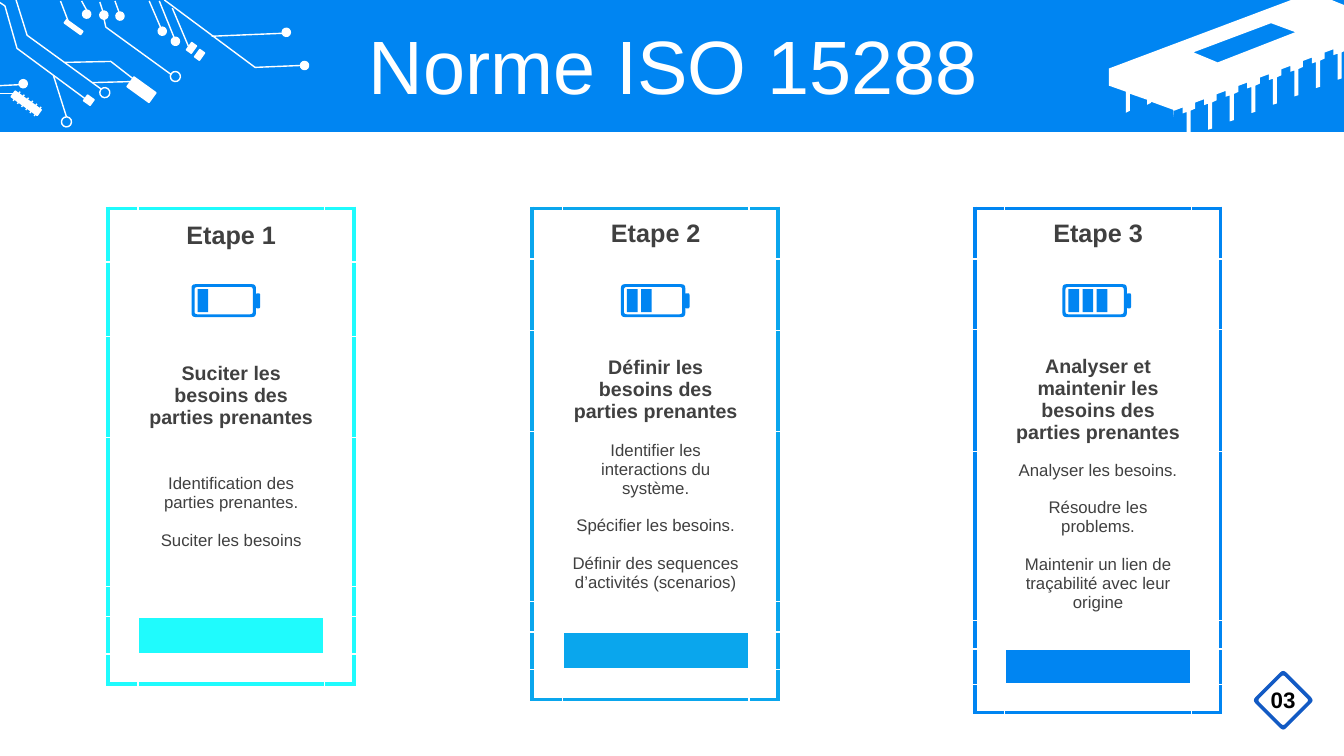
from lxml import etree
from pptx import Presentation
from pptx.dml.color import RGBColor
from pptx.enum import shapes as kinds, text as txt
from pptx.oxml.ns import qn
from pptx.util import Pt

BLUE, WHITE, GREY = "0085F2", "FFFFFF", "404040"
TILT = 35.7

CHIPS = [(91.4, 59.8, 19.4, 8.6), (45.4, 18, 14.4, 2.9), (60.5, 69.1, 5.8, 5),
         (134.6, 31, 4.3, 6.5), (140.4, 36, 4.3, 6.5), (7.2, 71.3, 23, 5)]
DOTS = [(214.6, 43.9), (201.6, 20.2), (59, 7.2), (71.3, 7.9),
        (82.8, 8.6), (13.7, 56.9), (122.4, 26.6), (113, 19.4)]
RINGS = [(121.7, 51.1), (71.3, 62.6), (43.9, 83.5)]
WIRES = [(43.2, 0.7, 49, 15.8), (58.3, 0.7, 61.9, 7.2), (71.3, 1.4, 73.4, 7.9),
         (82.1, 0.7, 85, 8.6), (106.6, 0.7, 115.9, 22.3), (113.8, 0.7, 124.6, 27.4),
         (151.2, 25.9, 201.6, 23.8), (123.1, 5.8, 134.6, 33.1), (-0.7, 61.2, 13.7, 60.5),
         (-0.7, 67, 10.1, 67), (38.2, 54, 47.5, 83.5), (66.2, 59, 93.6, 58.3)]
BENT_WIRES = [[(117.4, 0), (182.2, 48.2), (215.3, 46.8)],
              [(11.5, 0), (19.4, 25.2), (72, 63.4)],
              [(-0.7, 1.4), (3.6, 4.3), (12.2, 34.6), (61.9, 71.3)],
              [(46.1, 44.6), (79.2, 43.9), (95, 56.2)],
              [(74.2, 13), (75.6, 19.4), (122.4, 53.3)]]

STEPS = [
    (77, "1FFBFD", 136.8, [38.2, 53.3, 72, 106.5, 21.6, 26.6, 21.6], "Etape 1",
     "Suciter les besoins des parties prenantes",
     ["Identification des parties prenantes.", "Suciter les besoins"]),
    (380.2, "0AA6ED", 443.5, [36, 51.1, 72, 121.7, 21.6, 26.6, 21.6], "Etape 2",
     "Définir les besoins des parties prenantes",
     ["Identifier les interactions du système.", "Spécifier les besoins.",
      "Définir des sequences d’activités (scenarios)"]),
    (696.2, BLUE, 758.9, [36, 50.4, 83.5, 115.2, 20.2, 25.2, 20.2], "Etape 3",
     "Analyser et maintenir les besoins des parties prenantes",
     ["Analyser les besoins.", "Résoudre les problems.",
      "Maintenir un lien de traçabilité avec leur origine"]),
]


def color(code):
    return RGBColor.from_string(code)


def paint(shape, fill=None, line=None):
    shape.shadow.inherit = False
    if fill:
        shape.fill.solid()
        shape.fill.fore_color.rgb = color(fill)
    else:
        shape.fill.background()
    if line:
        shape.line.color.rgb = color(line)
        shape.line.width = Pt(1)
    else:
        shape.line.fill.background()


def add_preset(shapes, kind, left, top, width, height, fill, line=None, tilt=0):
    shape = shapes.add_shape(kind, Pt(left), Pt(top), Pt(width), Pt(height))
    shape.rotation = tilt
    paint(shape, fill, line)


def add_outline(shapes, contours, fill=None, line=None):
    scaled = [[(Pt(x), Pt(y)) for x, y in contour] for contour in contours]
    builder = shapes.build_freeform(*scaled[0][0])
    for index, contour in enumerate(scaled):
        if index:
            builder.move_to(*contour[0])
        builder.add_line_segments(contour[1:], close=bool(fill))
    paint(builder.convert_to_shape(), fill, line)


def add_wire(shapes, x1, y1, x2, y2):
    wire = shapes.add_connector(kinds.MSO_CONNECTOR.STRAIGHT, Pt(x1), Pt(y1), Pt(x2), Pt(y2))
    wire.line.color.rgb = color(WHITE)
    wire.line.width = Pt(1)
    etree.SubElement(wire._element.spPr, qn("a:effectLst"))


def rounded(corners, cut):
    curve = []
    for index, (x, y) in enumerate(corners):
        ends = []
        for nx, ny in (corners[index - 1], corners[(index + 1) % len(corners)]):
            share = cut / ((nx - x) ** 2 + (ny - y) ** 2) ** 0.5
            ends.append((x + (nx - x) * share, y + (ny - y) * share))
        (ax, ay), (bx, by) = ends
        for t in (0, 0.25, 0.5, 0.75, 1):
            a, c, b = (1 - t) ** 2, 2 * t * (1 - t), t * t
            curve.append((a * ax + c * x + b * bx, a * ay + c * y + b * by))
    return curve


def box(left, top, right, bottom):
    return [(left, top), (right, top), (right, bottom), (left, bottom)]


def diamond(x, y, reach):
    return [(x, y - reach), (x + reach, y), (x, y + reach), (x - reach, y)]


def add_battery(shapes, left, level, top=203):
    contours = [rounded(box(0, 0, 46, 23.5), 2.9), rounded(box(2.2, 2, 43.8, 21.5), 1.8),
                rounded(box(46, 6.5, 49, 17.3), 1.2)]
    contours += [box(4.3 + 10.1 * k, 3.6, 11.9 + 10.1 * k, 20) for k in range(level)]
    add_outline(shapes, [[(left + x, top + y) for x, y in c] for c in contours], BLUE)


def add_processor(shapes):
    body = [(922.3, 0), (951.1, 0), (960, 3.6), (960, 36.7)]
    pin = [(0, 0), (0, 18.7), (-2.9, 19.6), (-2.9, 1),
           (-5.8, 2), (-5.8, -2.2), (-12.2, 0.2), (-12.2, 4.5)]
    for k in range(8):
        body += [(958.3 - 15.4 * k + x, 37.4 + 5.95 * k + y) for x, y in pin]
    body += [(838.1, 78.5), (822.2, 72.7), (822.2, 73.4), (819.4, 74.9), (819.4, 71.3),
             (807.1, 67), (807.1, 79.2), (804.2, 80.6), (804.2, 65.5), (792, 61.2), (792, 49)]
    window = [(907.9, 16.6), (852.5, 37.4), (869.8, 44.6), (925.2, 23)]
    add_outline(shapes, [window, body], WHITE)


def add_circuit(shapes):
    for chip in CHIPS:
        add_preset(shapes, kinds.MSO_SHAPE.RECTANGLE, *chip, WHITE, WHITE, TILT)
    for dot in DOTS:
        add_preset(shapes, kinds.MSO_SHAPE.OVAL, *dot, 5.8, 5.8, WHITE, WHITE, TILT)
    for ring in RINGS:
        add_preset(shapes, kinds.MSO_SHAPE.OVAL, *ring, 7.2, 7.2, None, WHITE, TILT)
    teeth = [(9.4 + 3 * k, 72 + 2.17 * k, 14.4 + 3 * k, 65.5 + 2.17 * k) for k in range(6)]
    for wire in WIRES + teeth:
        add_wire(shapes, *wire)
    for bent in BENT_WIRES:
        add_outline(shapes, [bent], line=WHITE)


def write(frame, lines, size, code, bold=False, gap=0):
    frame.text = "\n".join(lines)
    for index, paragraph in enumerate(frame.paragraphs):
        paragraph.alignment = txt.PP_ALIGN.CENTER
        if index:
            paragraph.space_before = Pt(gap)
        for run in paragraph.runs:
            run.font.name = "Arial"
            run.font.size = Pt(size)
            run.font.bold = bold
            run.font.color.rgb = color(code)


def add_label(shapes, left, top, width, height, words, size, code, bold=False):
    frame = shapes.add_textbox(Pt(left), Pt(top), Pt(width), Pt(height)).text_frame
    frame.word_wrap = True
    write(frame, [words], size, code, bold)
    return frame


def add_border(cell, side, code, width):
    edge = etree.SubElement(cell._tc.get_or_add_tcPr(), qn("a:ln" + side), w=str(Pt(width)))
    etree.SubElement(etree.SubElement(edge, qn("a:solidFill")), qn("a:srgbClr"), val=code)


def add_step(shapes, left, code, heights, title, goal, tasks):
    widths = [21.6, 133.2, 20.9]
    card = shapes.add_table(7, 3, Pt(left), Pt(149), Pt(sum(widths)), Pt(sum(heights))).table
    card.first_row = card.horz_banding = False
    for column, width in zip(card.columns, widths):
        column.width = Pt(width)
    for row, height in zip(card.rows, heights):
        row.height = Pt(height)
    content = {0: ([title], 18, GREY, True), 2: ([goal], 14, GREY, True),
               3: (tasks, 12, GREY, False, 13.5)}
    for r in range(7):
        for c in range(3):
            cell = card.cell(r, c)
            is_bar = (r, c) == (5, 1)
            outer = {"L": c == 0, "R": c == 2, "T": r == 0, "B": r == 6}
            near_bar = {"L": (r, c) == (5, 2), "R": (r, c) == (5, 0),
                        "T": (r, c) == (6, 1), "B": (r, c) == (4, 1)}
            for side in "LRTB":
                if outer[side]:
                    add_border(cell, side, code, 3)
                elif is_bar or near_bar[side]:
                    add_border(cell, side, WHITE, 2.25)
            if is_bar:
                cell.fill.solid()
                cell.fill.fore_color.rgb = color(code)
            else:
                cell.fill.background()
            cell.vertical_anchor = txt.MSO_ANCHOR.MIDDLE
            if c == 1 and r in content:
                write(cell.text_frame, *content[r])
                if r == 2:
                    cell.margin_top = Pt(16.5)
            else:
                cell.margin_top = cell.margin_bottom = 0
                etree.SubElement(cell.text_frame.paragraphs[0]._p, qn("a:endParaRPr"), sz="800")


def add_badge(shapes):
    frame = add_label(shapes, 896.4, 486.7, 40.3, 26.6, "03", 16, "000000", True)
    frame.margin_left = frame.margin_right = Pt(8.6)
    frame.margin_top = frame.margin_bottom = Pt(3.6)
    rim = [rounded(diamond(916.6, 500.2, 22), 3), rounded(diamond(916.6, 500.2, 18.4), 2)]
    add_outline(shapes, rim, "125AC4")


def main():
    deck = Presentation()
    deck.slide_width, deck.slide_height = Pt(960), Pt(540)
    shapes = deck.slides.add_slide(deck.slide_layouts[6]).shapes
    add_preset(shapes, kinds.MSO_SHAPE.RECTANGLE, 0, 0, 960, 94.3, BLUE)
    add_processor(shapes)
    add_circuit(shapes.add_group_shape().shapes)
    heading = add_label(shapes, 25.2, 21.6, 911.5, 56.9, "Norme ISO 15288", 54, WHITE)
    heading.vertical_anchor = txt.MSO_ANCHOR.MIDDLE
    heading.paragraphs[0].line_spacing = 0.9
    for left, code, _, *card in STEPS:
        add_step(shapes, left, code, *card)
    for level, step in enumerate(STEPS, 1):
        add_battery(shapes, step[2], level)
    add_badge(shapes.add_group_shape().shapes)
    deck.save("out.pptx")


if __name__ == "__main__":
    main()
